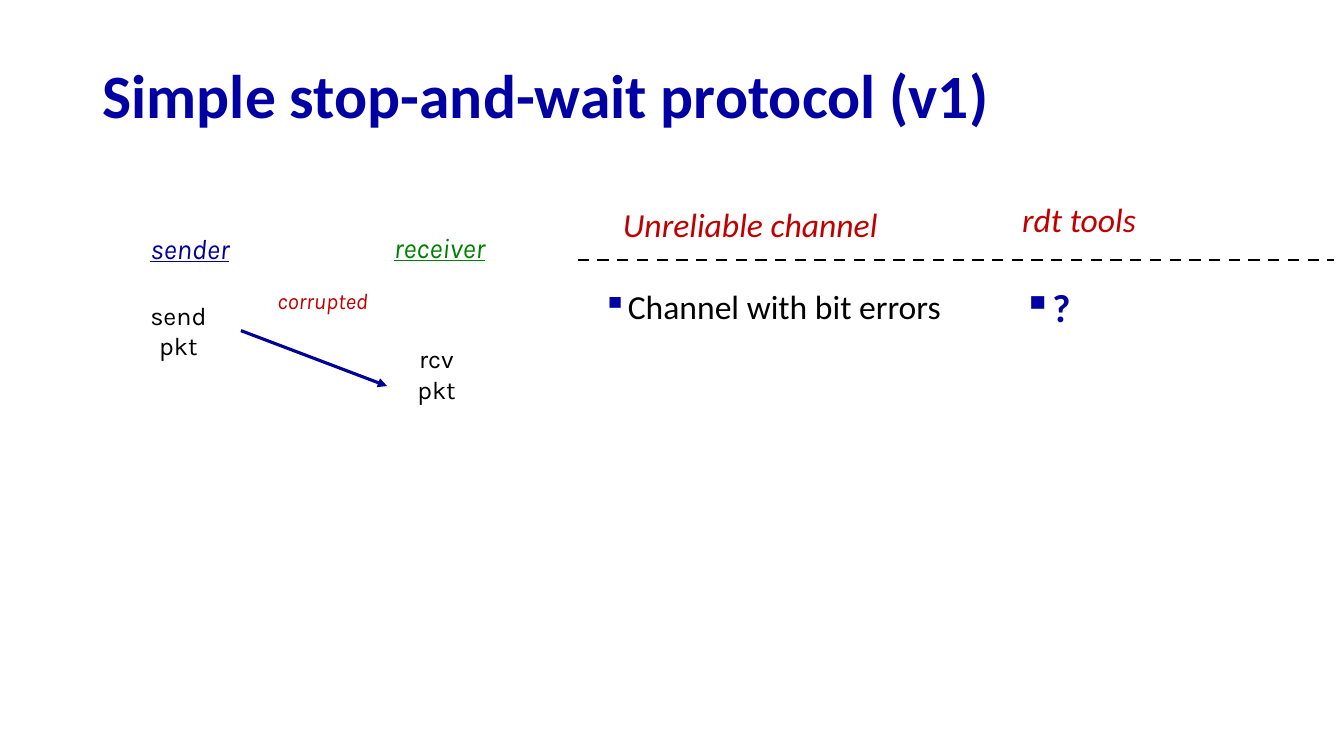
from lxml import etree
from pptx import Presentation
from pptx.dml.color import RGBColor
from pptx.enum import dml, shapes, text
from pptx.oxml import ns
from pptx.util import Inches, Pt

TITLE_BLUE = RGBColor(0x00, 0x00, 0xA3)
SENDER_BLUE = RGBColor(0x00, 0x00, 0x99)
GREEN = RGBColor(0x00, 0x80, 0x00)
RED = RGBColor(0xC0, 0x00, 0x00)
BLACK = RGBColor(0x00, 0x00, 0x00)


def add_text(slide, box, content, size, color, font="Calibri", bold=False, italic=False,
             underline=False, align=text.PP_ALIGN.LEFT, anchor=text.MSO_ANCHOR.TOP,
             wrap=True, spacing=0.9, margin=0, bullet=None):
    """Add a one-paragraph text box with the given format."""
    shape = slide.shapes.add_textbox(*map(Inches, box))
    frame = shape.text_frame
    frame.word_wrap = wrap
    frame.vertical_anchor = anchor
    paragraph = frame.paragraphs[0]
    paragraph.alignment = align
    paragraph.line_spacing = spacing
    properties = paragraph._p.get_or_add_pPr()
    properties.set("marL", str(Inches(margin)))
    if bullet:
        properties.set("indent", str(Inches(-0.24)))
        bullet_color = etree.SubElement(properties, ns.qn("a:buClr"))
        etree.SubElement(bullet_color, ns.qn("a:srgbClr"), val=str(TITLE_BLUE))
        etree.SubElement(properties, ns.qn("a:buChar"), char=bullet)
    paragraph.text = content
    for run in paragraph.runs:
        run.font.name = font
        run.font.size = Pt(size)
        run.font.bold = bold
        run.font.italic = italic
        run.font.underline = underline
        run.font.color.rgb = color


def add_line(slide, start, end, color, width, dash=None, arrow=False):
    """Add a straight line, dashed or with an arrowhead at its end."""
    connector = slide.shapes.add_connector(
        shapes.MSO_CONNECTOR.STRAIGHT, *map(Inches, (*start, *end)))
    connector.line.color.rgb = color
    connector.line.width = Pt(width)
    if dash:
        connector.line.dash_style = dash
    if arrow:
        etree.SubElement(connector.line._get_or_add_ln(), ns.qn("a:tailEnd"), type="triangle")
    etree.SubElement(connector._element.spPr, ns.qn("a:effectLst"))


def add_title(slide, box):
    """Place the slide title."""
    add_text(slide, box, "Simple stop-and-wait protocol (v1)", 44, TITLE_BLUE,
             bold=True, anchor=text.MSO_ANCHOR.MIDDLE)


def add_exchange(slide, left, top):
    """Draw the packet exchange between sender and receiver."""
    labels = [
        (0.18, 0.01, 1.03, "sender", 20, SENDER_BLUE, True, True),
        (2.58, 0, 1.18, "receiver", 20, GREEN, True, True),
        (0, 0.69, 1.16, "send\vpkt", 18, BLACK, False, False),
        (2.66, 1.12, 0.96, "rcv\vpkt", 18, BLACK, False, False),
        (1.43, 0.56, 1.16, "corrupted", 16, RED, True, False),
    ]
    for across, down, width, content, size, color, italic, underline in labels:
        add_text(slide, (left + across, top + down, width, 0.44), content, size, color,
                 font="Karla", italic=italic, underline=underline,
                 align=text.PP_ALIGN.CENTER, wrap=False, spacing=1.0)
    add_line(slide, (left + 1.2, top + 1.04), (left + 2.65, top + 1.59),
             SENDER_BLUE, 2.25, arrow=True)


def add_comparison(slide, left, top, width):
    """Set channel properties beside the tools that handle them."""
    tools_left = left + 4.17
    tools_width = width - 4.17
    add_text(slide, (left + 0.21, top + 0.05, 3.9, 0.46), "Unreliable channel", 24, RED,
             italic=True, margin=0.14)
    add_text(slide, (tools_left, top, tools_width, 0.46), "rdt tools", 24, RED,
             italic=True, margin=0.14)
    add_line(slide, (left, top + 0.61), (left + width, top + 0.61), BLACK, 2,
             dash=dml.MSO_LINE.DASH)
    add_text(slide, (left, top + 0.86, 4.17, 0.67), "Channel with bit errors", 24, BLACK,
             margin=0.39, bullet="▪")
    add_text(slide, (tools_left, top + 0.84, tools_width, 1.03), "?", 28, TITLE_BLUE,
             bold=True, margin=0.39, bullet="▪")


def main():
    """Build and save the slide."""
    presentation = Presentation()
    presentation.slide_width = Inches(13.33)
    presentation.slide_height = Inches(7.5)
    slide = presentation.slides.add_slide(presentation.slide_layouts[6])
    add_title(slide, (0.92, 0.49, 11.5, 0.98))
    add_comparison(slide, 5.73, 1.97, 7.5)
    add_exchange(slide, 1.19, 2.24)
    presentation.save("out.pptx")


if __name__ == "__main__":
    main()
